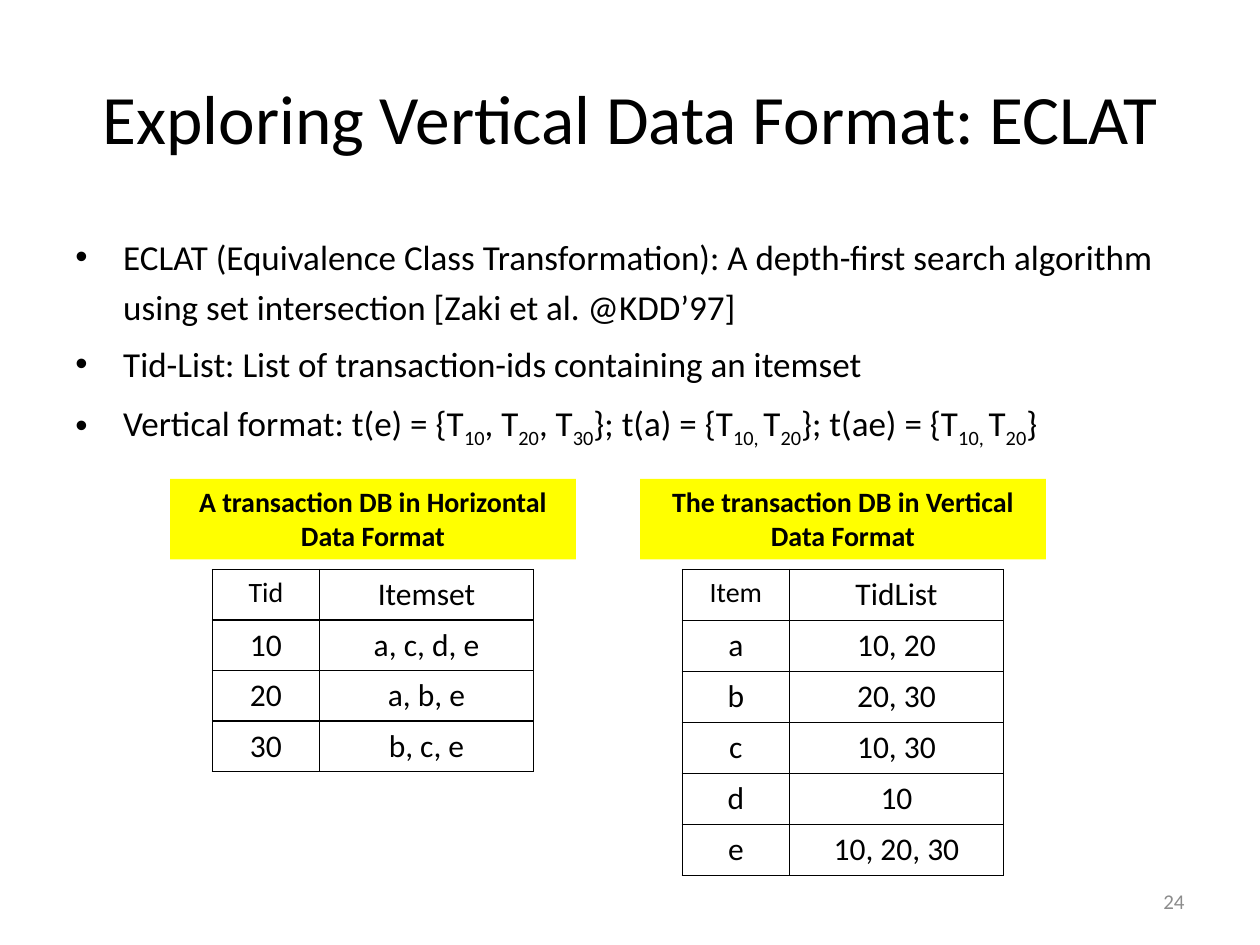
from dataclasses import dataclass

from lxml.etree import SubElement
from pptx import Presentation
from pptx.dml.color import RGBColor
from pptx.enum.shapes import MSO_SHAPE
from pptx.enum.text import MSO_ANCHOR, PP_ALIGN
from pptx.oxml.ns import qn
from pptx.util import Inches, Pt

BLACK = RGBColor(0x00, 0x00, 0x00)
GRAY = RGBColor(0x8C, 0x8C, 0x8C)
YELLOW = RGBColor(0xFF, 0xFF, 0x00)
FONT = "Calibri"
HEADING_TOP, HEADING_WIDTH, HEADING_HEIGHT = 3.8, 3.22, 0.64
TABLE_TOP = 4.52
COL_WIDTHS = (0.85, 1.7)
BULLETS = (
    "ECLAT (Equivalence Class Transformation): A depth-first search algorithm "
    "using set intersection [Zaki et al. @KDD’97]",
    "Tid-List: List of transaction-ids containing an itemset",
    "Vertical format: t(e) = {T|10|, T|20|, T|30|}; t(a) = {T|10, |T|20|}; "
    "t(ae) = {T|10, |T|20|}",
)


@dataclass(frozen=True)
class DataFormat:
    heading: str
    left: float
    row_height: float
    rows: tuple[tuple[str, str], ...]


FORMATS = (
    DataFormat("A transaction DB in Horizontal Data Format", 1.35, 0.4, (
        ("Tid", "Itemset"), ("10", "a, c, d, e"), ("20", "a, b, e"), ("30", "b, c, e"),
    )),
    DataFormat("The transaction DB in Vertical Data Format", 5.08, 0.405, (
        ("Item", "TidList"), ("a", "10, 20"), ("b", "20, 30"),
        ("c", "10, 30"), ("d", "10"), ("e", "10, 20, 30"),
    )),
)


def format_text(tf, size: float, align=PP_ALIGN.LEFT, color=BLACK, bold=False) -> None:
    for p in tf.paragraphs:
        p.alignment = align
        for r in p.runs:
            r.font.name = FONT
            r.font.size = Pt(size)
            r.font.bold = bold
            r.font.color.rgb = color


def add_text(s, left: float, top: float, width: float, height: float):
    tf = s.shapes.add_textbox(Inches(left), Inches(top), Inches(width), Inches(height)).text_frame
    tf.word_wrap = True
    return tf


def add_title(s, text: str) -> None:
    sp = s.shapes.title
    sp.left, sp.top, sp.width, sp.height = map(Inches, (0.5, 0.3, 9, 1.25))
    tf = sp.text_frame
    tf.text = text
    tf.vertical_anchor = MSO_ANCHOR.MIDDLE
    format_text(tf, 39.6, PP_ALIGN.CENTER)


def add_bullets(s, bullets: tuple[str, ...]) -> None:
    tf = add_text(s, 0.5, 1.75, 9, 4.95)
    for i, bullet in enumerate(bullets):
        p = tf.add_paragraph() if i else tf.paragraphs[0]
        p.line_spacing = 1.2
        p.space_before = Pt(4)
        pPr = p._p.get_or_add_pPr()
        pPr.set("marL", str(Inches(0.38)))
        pPr.set("indent", str(-Inches(0.38)))
        SubElement(pPr, qn("a:buFont")).set("typeface", "Arial")
        SubElement(pPr, qn("a:buChar")).set("char", "•")
        for j, part in enumerate(bullet.split("|")):
            r = p.add_run()
            r.text = part
            if j % 2:
                r._r.get_or_add_rPr().set("baseline", "-25000")
    format_text(tf, 20)


def add_heading(s, data: DataFormat) -> None:
    sp = s.shapes.add_shape(
        MSO_SHAPE.RECTANGLE, Inches(data.left), Inches(HEADING_TOP),
        Inches(HEADING_WIDTH), Inches(HEADING_HEIGHT),
    )
    sp.shadow.inherit = False
    sp.fill.solid()
    sp.fill.fore_color.rgb = YELLOW
    sp.line.fill.background()
    tf = sp.text_frame
    tf.text = data.heading
    tf.word_wrap = True
    tf.vertical_anchor = MSO_ANCHOR.TOP
    format_text(tf, 16, PP_ALIGN.CENTER, bold=True)


def add_borders(cell) -> None:
    tcPr = cell._tc.get_or_add_tcPr()
    for side in ("lnL", "lnR", "lnT", "lnB"):
        ln = SubElement(tcPr, qn(f"a:{side}"), w=str(Pt(1)))
        fill = SubElement(ln, qn("a:solidFill"))
        SubElement(fill, qn("a:srgbClr"), val=str(BLACK))


def add_data_table(s, data: DataFormat) -> None:
    width = sum(COL_WIDTHS)
    left = data.left + (HEADING_WIDTH - width) / 2
    table = s.shapes.add_table(
        len(data.rows), len(COL_WIDTHS), Inches(left), Inches(TABLE_TOP),
        Inches(width), Inches(data.row_height * len(data.rows)),
    ).table
    table.first_row = table.horz_banding = False
    for col, col_width in zip(table.columns, COL_WIDTHS):
        col.width = Inches(col_width)
    for i, values in enumerate(data.rows):
        table.rows[i].height = Inches(data.row_height)
        for j, value in enumerate(values):
            cell = table.cell(i, j)
            cell.text = value
            cell.margin_left = cell.margin_right = Inches(0.13)
            add_borders(cell)
            cell.fill.background()
            format_text(cell.text_frame, 16 if i == j == 0 else 18, PP_ALIGN.CENTER)


def add_page_number(s, number: str) -> None:
    tf = add_text(s, 7.17, 6.95, 2.33, 0.4)
    tf.text = number
    tf.vertical_anchor = MSO_ANCHOR.MIDDLE
    format_text(tf, 12, PP_ALIGN.RIGHT, GRAY)


def main() -> None:
    prs = Presentation()
    prs.slide_width, prs.slide_height = Inches(10), Inches(7.5)
    s = prs.slides.add_slide(prs.slide_layouts[5])
    add_title(s, "Exploring Vertical Data Format: ECLAT")
    add_bullets(s, BULLETS)
    add_page_number(s, "24")
    for data in FORMATS:
        add_heading(s, data)
        add_data_table(s, data)
    prs.save("out.pptx")


if __name__ == "__main__":
    main()
